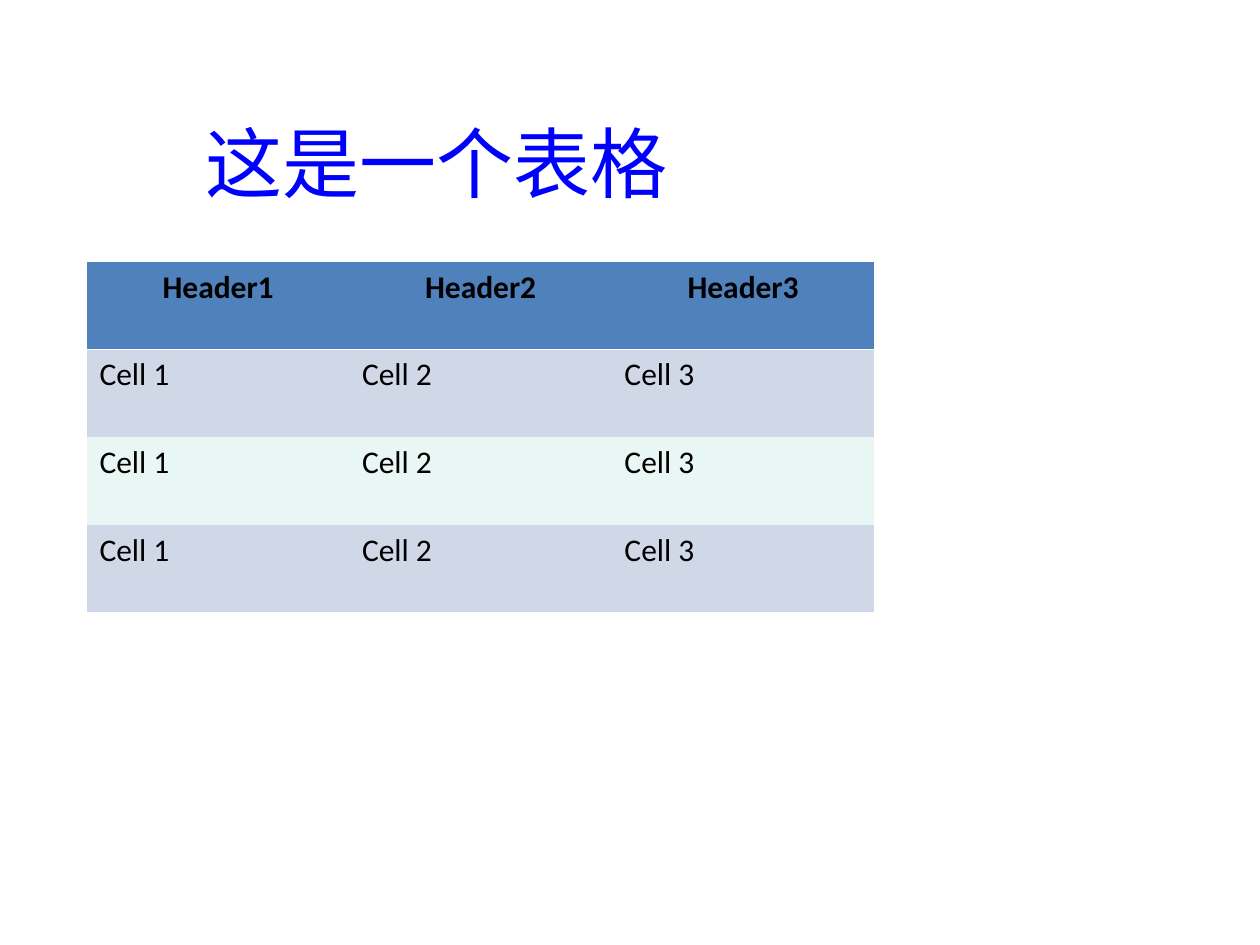
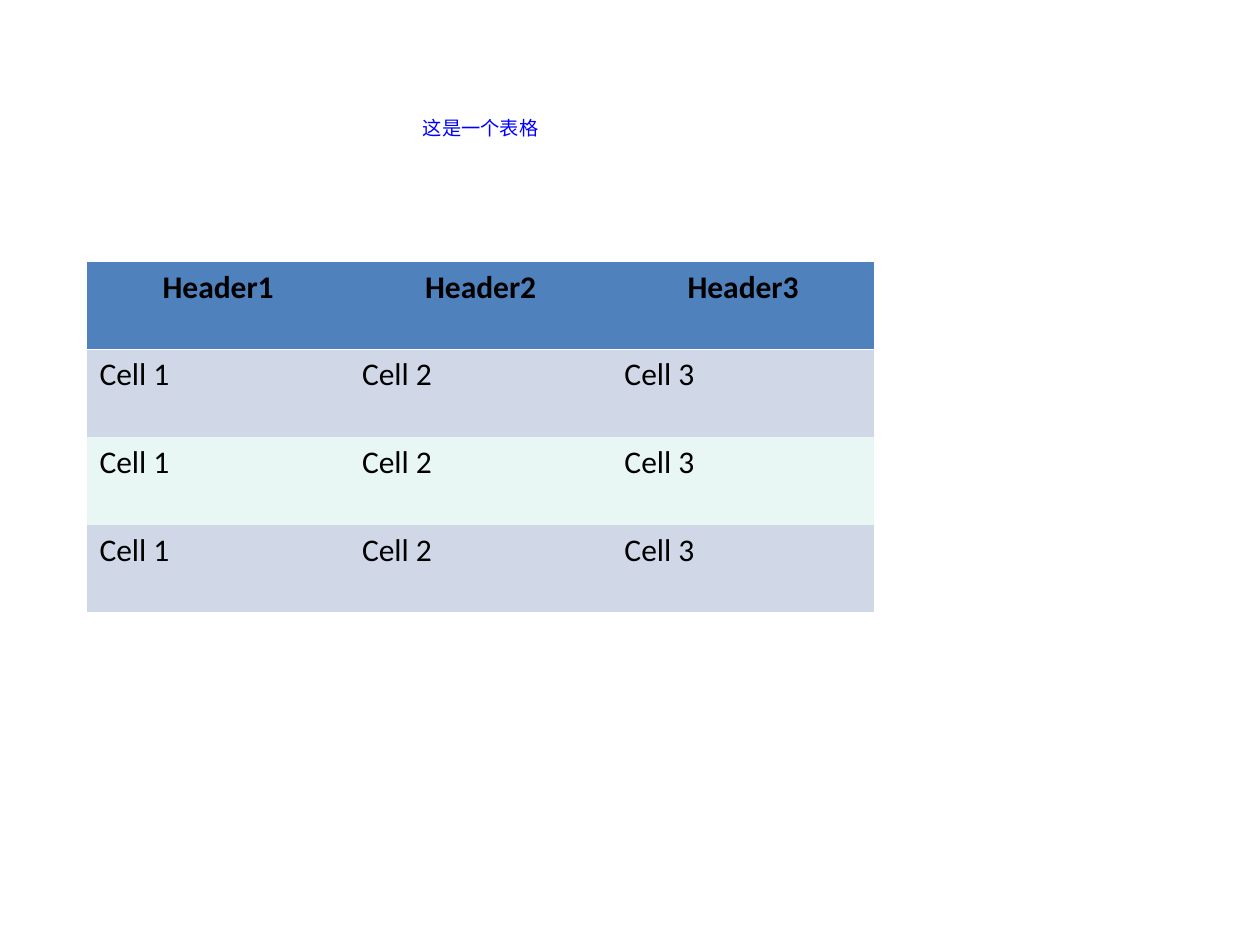
import pptx
import pptx.dml.color
import pptx.enum.text
import pptx.oxml
import pptx.oxml.ns
import pptx.util

Inches = pptx.util.Inches
Align = pptx.enum.text.PP_ALIGN

FONT = "Calibri"
TITLE_COLOR = "0000FF"
TEXT_COLOR = "000000"
HEADER_FILL = "4F81BD"
BAND_FILLS = ["D0D8E8", "E9F7F4"]
PLAIN_TABLE_STYLE = "{2D5ABB26-0587-4C30-8999-92F81FD0307C}"
LEFT = Inches(0.69)
TITLE_TOP = Inches(0.69)
TABLE_TOP = Inches(2.08)
TABLE_WIDTH = Inches(6.25)
TABLE_HEIGHT = Inches(2.78)

TITLE = "这是一个表格"
ROWS = [["Header1", "Header2", "Header3"]] + [["Cell 1", "Cell 2", "Cell 3"]] * 3
# width, height and text size of the title on each page
TITLE_FORMATS = [(5.56, 1.39, 44), (6.25, 0.69, 11)]

HEADER_RULE = (
    f'<a:lnB {pptx.oxml.ns.nsdecls("a")} w="9525">'
    '<a:solidFill><a:srgbClr val="FFFFFF"/></a:solidFill></a:lnB>'
)


def color(value):
    return pptx.dml.color.RGBColor.from_string(value)


def write(frame, text, size=18, fill=TEXT_COLOR, bold=False, align=Align.LEFT):
    para = frame.paragraphs[0]
    para.alignment = align
    span = para.add_run()
    span.text = text
    span.font.name = FONT
    span.font.size = pptx.util.Pt(size)
    span.font.bold = bold
    span.font.color.rgb = color(fill)


deck = pptx.Presentation()
deck.slide_width = Inches(10)
deck.slide_height = Inches(7.5)

for width, height, size in TITLE_FORMATS:
    page = deck.slides.add_slide(deck.slide_layouts[6])

    box = page.shapes.add_textbox(LEFT, TITLE_TOP, Inches(width), Inches(height))
    box.text_frame.word_wrap = True
    box.text_frame.margin_top = Inches(0.23)
    write(box.text_frame, TITLE, size=size, fill=TITLE_COLOR, align=Align.CENTER)

    table = page.shapes.add_table(
        len(ROWS), len(ROWS[0]), LEFT, TABLE_TOP, TABLE_WIDTH, TABLE_HEIGHT
    ).table
    style = table._tbl.tblPr.find(pptx.oxml.ns.qn("a:tableStyleId"))
    style.text = PLAIN_TABLE_STYLE

    for row, texts in enumerate(ROWS):
        header = row == 0
        for column, text in enumerate(texts):
            cell = table.cell(row, column)
            cell.fill.solid()
            cell.fill.fore_color.rgb = color(
                HEADER_FILL if header else BAND_FILLS[(row - 1) % 2]
            )
            write(cell.text_frame, text, bold=header,
                  align=Align.CENTER if header else Align.LEFT)
            if header:
                cell.margin_bottom = Inches(0.03)
                cell._tc.tcPr.insert(0, pptx.oxml.parse_xml(HEADER_RULE))

deck.save("out.pptx")
